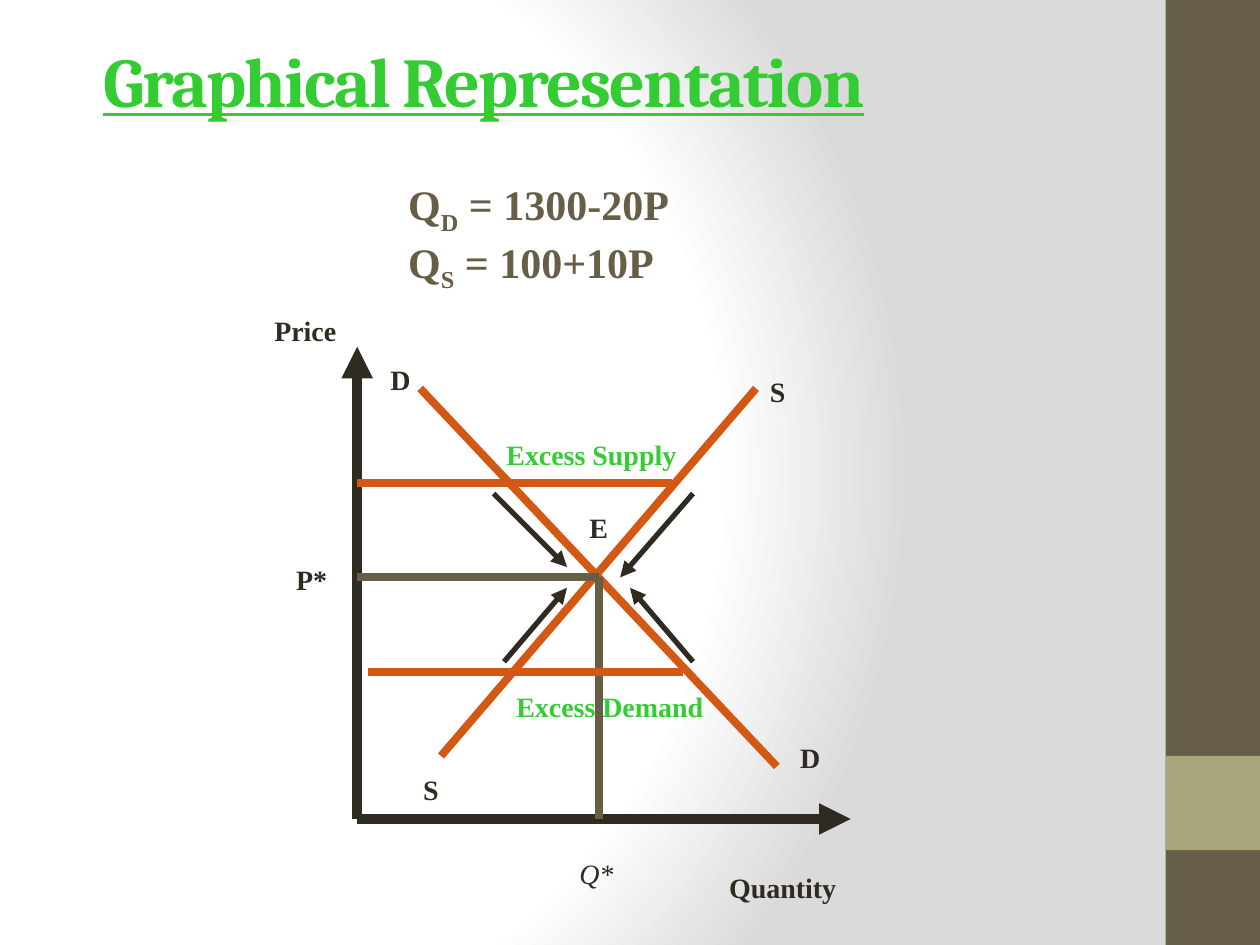
from lxml import etree
from pptx import Presentation
from pptx.dml.color import RGBColor
from pptx.enum.shapes import MSO_CONNECTOR, MSO_SHAPE
from pptx.enum.text import MSO_ANCHOR
from pptx.oxml import parse_xml
from pptx.oxml.ns import nsdecls, qn
from pptx.util import Cm, Pt

STRAIGHT = MSO_CONNECTOR.STRAIGHT
RECTANGLE = MSO_SHAPE.RECTANGLE
MIDDLE = MSO_ANCHOR.MIDDLE

WHITE = RGBColor(0xFF, 0xFF, 0xFF)
GREY = RGBColor(0xDA, 0xDA, 0xDA)
BROWN = RGBColor(0x67, 0x5E, 0x47)
SAGE = RGBColor(0xA9, 0xA5, 0x7C)
INK = RGBColor(0x2F, 0x2B, 0x20)
GREEN = RGBColor(0x33, 0xCC, 0x33)
ORANGE = RGBColor(0xD2, 0x58, 0x14)

# Coordinates of the diagram, in centimetres
AXIS_X, AXIS_Y = 7.2, 16.51
EQUILIBRIUM_X, EQUILIBRIUM_Y = 12.07, 11.64
LABEL_HEIGHT = 0.94


class Slide:
    """Holds the text style and the page being filled."""

    title_font = "Cambria"
    body_font = "Times New Roman"
    label_size = 16

    def __init__(self, page):
        self.page = page

    def background(self, stops):
        """Fill the page with a circular gradient of (percent, colour) stops."""
        self.page.background.fill.solid()
        properties = self.page.element.find(".//" + qn("p:bgPr"))
        stop_xml = "".join(
            f'<a:gs pos="{percent * 1000}"><a:srgbClr val="{color}"/></a:gs>'
            for percent, color in stops)
        gradient = parse_xml(
            f'<a:gradFill {nsdecls("a")} rotWithShape="1"><a:gsLst>{stop_xml}</a:gsLst>'
            '<a:path path="circle"><a:fillToRect l="20000" t="50000" r="100000" b="50000"/>'
            '</a:path></a:gradFill>')
        properties.replace(properties.find(qn("a:solidFill")), gradient)

    def bar(self, left, top, width, height, color):
        shape = self.page.shapes.add_shape(
            RECTANGLE, Cm(left), Cm(top), Cm(width), Cm(height))
        shape.shadow.inherit = False
        shape.fill.solid()
        shape.fill.fore_color.rgb = color
        shape.line.fill.background()

    def line(self, start, end, color, width, arrow=False):
        connector = self.page.shapes.add_connector(
            STRAIGHT, *(Cm(value) for value in (*start, *end)))
        connector.line.color.rgb = color
        connector.line.width = Pt(width)
        if arrow:
            outline = connector.line._get_or_add_ln()
            etree.SubElement(outline, qn("a:tailEnd"), type="triangle")
        etree.SubElement(connector._element.spPr, qn("a:effectLst"))

    def text_box(self, left, top, width, height, wrap=False):
        box = self.page.shapes.add_textbox(Cm(left), Cm(top), Cm(width), Cm(height))
        box.text_frame.word_wrap = wrap
        return box.text_frame

    def style(self, span, font, size, color, bold=True):
        span.font.name = font
        span.font.size = Pt(size)
        span.font.color.rgb = color
        span.font.bold = bold

    def title(self, text):
        frame = self.text_box(1.83, 0.43, 21.59, 2.34, wrap=True)
        frame.vertical_anchor = MIDDLE
        frame.text = text
        span = frame.paragraphs[0].runs[0]
        self.style(span, self.title_font, 40, GREEN)
        span.font.underline = True
        span.font._element.set("spc", "-100")

    def label(self, text, left, top, width, color=INK, wrap=False, italic=False):
        frame = self.text_box(left, top, width, LABEL_HEIGHT, wrap)
        frame.text = text
        span = frame.paragraphs[0].runs[0]
        self.style(span, self.body_font, self.label_size, color, bold=not italic)
        span.font.italic = italic

    def equations(self, rows):
        """Write each (symbol, subscript, rest) row as one paragraph."""
        frame = self.text_box(7.98, 3.48, 5.82, 2.29)
        for index, parts in enumerate(rows):
            para = frame.add_paragraph() if index else frame.paragraphs[0]
            for part in parts:
                span = para.add_run()
                span.text = part
                self.style(span, self.body_font, 24, BROWN)
            para.runs[1].font._element.set("baseline", "-25000")


def main():
    deck = Presentation()
    deck.slide_width, deck.slide_height = Cm(25.4), Cm(19.05)
    slide = Slide(deck.slides.add_slide(deck.slide_layouts[6]))

    slide.background([(0, WHITE), (75, WHITE), (100, GREY)])
    slide.bar(23.5, 0, 1.9, 19.05, BROWN)
    slide.bar(23.5, 15.24, 1.9, 1.9, SAGE)
    slide.title("Graphical Representation")
    slide.equations([("Q", "D", " = 1300-20P"), ("Q", "S", " = 100+10P")])

    slide.label("Excess Demand", 10.16, 13.77, 4.65, GREEN, wrap=True)
    slide.label("Excess Supply", 9.96, 8.69, 3.94, GREEN)

    origin = (AXIS_X, AXIS_Y)
    for end in [(AXIS_X, 6.99), (17.15, AXIS_Y)]:
        slide.line(origin, end, INK, 6, arrow=True)

    supply = ((15.24, 7.83), (8.89, 15.24))
    demand = ((15.66, 15.45), (8.47, 7.83))
    for start, end in (supply, demand):
        slide.line(start, end, ORANGE, 4.5)

    equilibrium = (EQUILIBRIUM_X, EQUILIBRIUM_Y)
    for end in [(EQUILIBRIUM_X, AXIS_Y), (AXIS_X, EQUILIBRIUM_Y)]:
        slide.line(equilibrium, end, BROWN, 4.5)

    # Excess supply above and excess demand below, each in two parts
    for y, stops in [(9.74, (13.55, 10.16, AXIS_X)), (13.55, (13.76, 10.37, 7.41))]:
        for right, left in zip(stops, stops[1:]):
            slide.line((right, y), (left, y), ORANGE, 4.5)

    for start, end in [
        ((13.97, 9.95), (12.5, 11.64)),
        ((9.95, 9.95), (11.43, 11.43)),
        ((13.97, 13.34), (12.7, 11.85)),
        ((10.16, 13.34), (11.43, 11.85)),
    ]:
        slide.line(start, end, INK, 3, arrow=True)

    for text, left, top, width in [
        ("Price", 5.28, 6.2, 1.78),
        ("S", 15.27, 7.42, 0.81),
        ("S", 8.28, 15.44, 0.81),
        ("D", 7.62, 7.19, 0.91),
        ("D", 15.88, 14.81, 0.91),
        ("P*", 5.72, 11.22, 1.14),
    ]:
        slide.label(text, left, top, width)
    slide.label("Quantity", 14.45, 17.42, 6.07, wrap=True)
    slide.label("E", 11.63, 10.16, 1.07, wrap=True)
    slide.label("Q*", 11.43, 17.15, 1.19, italic=True)

    deck.save("out.pptx")


if __name__ == "__main__":
    main()
